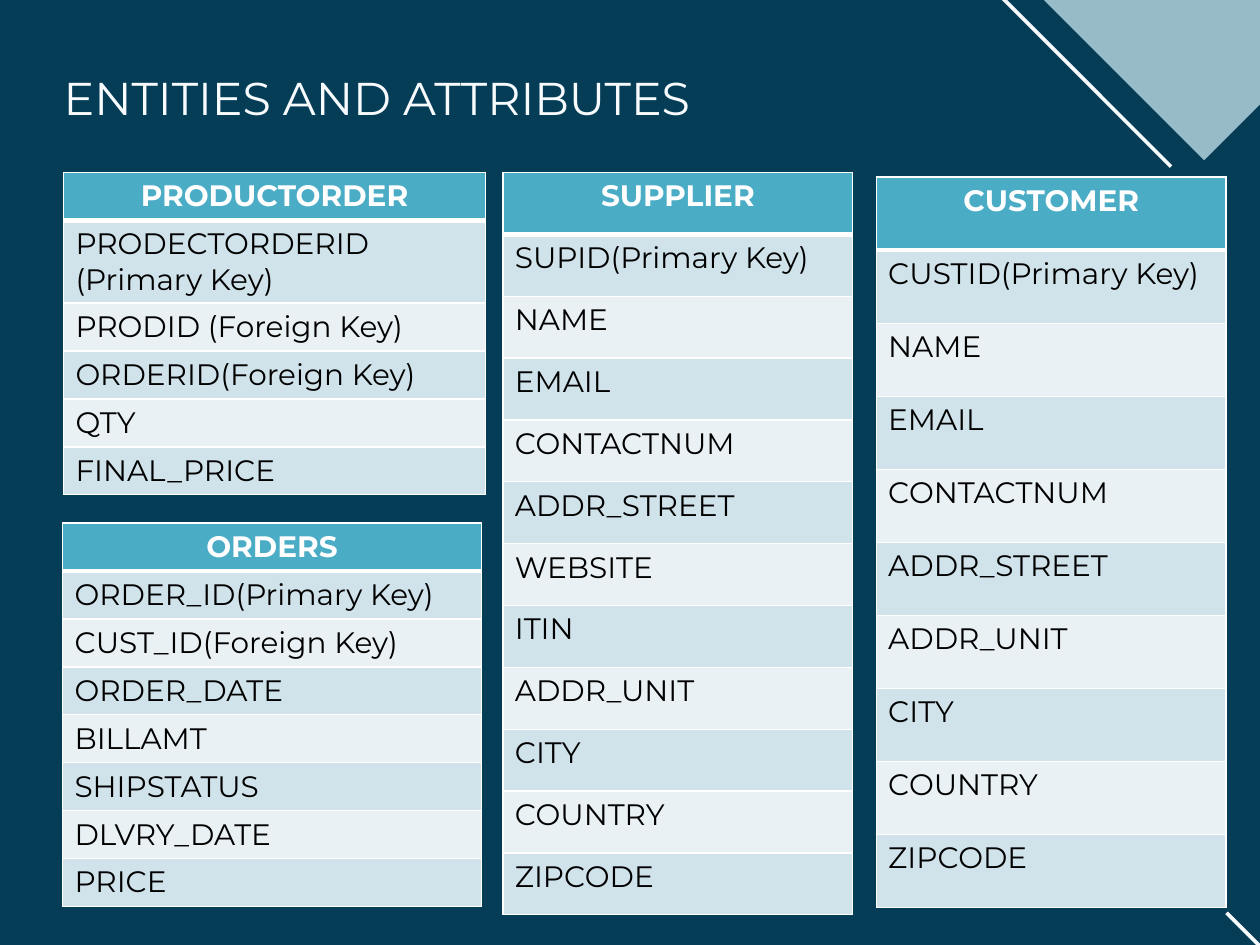
"""Build the slide of entities and their attributes as four tables."""
from lxml.etree import SubElement
from pptx import Presentation
from pptx.dml.color import RGBColor
from pptx.enum.shapes import MSO_SHAPE
from pptx.enum.text import MSO_AUTO_SIZE, PP_ALIGN
from pptx.oxml.ns import qn
from pptx.util import Cm, Pt

FONT = "Montserrat"
NAVY, PALE, MIST = "053D57", "F8FBFD", "97BCC7"
HEADER, BANDS = "4BACC6", ("E9F1F5", "D0E3EA")
WHITE, BLACK = "FFFFFF", "000000"

TITLE = "ENTITIES AND ATTRIBUTES"
DECORATIONS = [
    (20.96, -8.48, 9.88, 9.88, MIST),
    (21.97, -4.09, 0.08, 8.99, PALE),
    (28.22, 18.85, 0.08, 5.31, PALE),
]
ENTITIES = [
    ("PRODUCTORDER", (1.37, 3.71, 9.07, 1.03), [
        "PRODECTORDERID (Primary Key)", "PRODID (Foreign Key)",
        "ORDERID(Foreign Key)", "QTY", "FINAL_PRICE"]),
    ("ORDERS", (1.35, 11.25, 9, 1.03), [
        "ORDER_ID(Primary Key)", "CUST_ID(Foreign Key)", "ORDER_DATE",
        "BILLAMT", "SHIPSTATUS", "DLVRY_DATE", "PRICE"]),
    ("SUPPLIER", (10.82, 3.71, 7.52, 1.33), [
        "SUPID(Primary Key)", "NAME", "EMAIL", "CONTACTNUM", "ADDR_STREET",
        "WEBSITE", "ITIN", "ADDR_UNIT", "CITY", "COUNTRY", "ZIPCODE"]),
    ("CUSTOMER", (18.85, 3.81, 7.52, 1.57), [
        "CUSTID(Primary Key)", "NAME", "EMAIL", "CONTACTNUM", "ADDR_STREET",
        "ADDR_UNIT", "CITY", "COUNTRY", "ZIPCODE"]),
]


def paint(fill, color):
    fill.solid()
    fill.fore_color.rgb = RGBColor.from_string(color)


def set_font(p, size, color, bold=False):
    p.font.name = FONT
    p.font.size = Pt(size)
    p.font.bold = bold
    p.font.color.rgb = RGBColor.from_string(color)


def add_borders(cell, top, bottom):
    tc_pr = cell._tc.get_or_add_tcPr()
    for side, width in (("L", 1), ("R", 1), ("T", top), ("B", bottom)):
        ln = SubElement(tc_pr, qn(f"a:ln{side}"), w=str(Pt(width)))
        fill = SubElement(ln, qn("a:solidFill"))
        SubElement(fill, qn("a:srgbClr"), val=WHITE)


def add_decoration(slide, left, top, width, height, color):
    sp = slide.shapes.add_shape(
        MSO_SHAPE.RECTANGLE, Cm(left), Cm(top), Cm(width), Cm(height))
    sp.rotation = 315
    sp.shadow.inherit = False
    paint(sp.fill, color)
    sp.line.fill.background()


def add_title(slide):
    sp = slide.shapes.add_textbox(Cm(1.37), Cm(1.5), Cm(16.81), Cm(1.09))
    tf = sp.text_frame
    tf.word_wrap = True
    tf.auto_size = MSO_AUTO_SIZE.SHAPE_TO_FIT_TEXT
    tf.margin_left = tf.margin_right = tf.margin_top = tf.margin_bottom = 0
    p = tf.paragraphs[0]
    p.text = TITLE
    p.line_spacing = Pt(33.6)
    set_font(p, 28, PALE)


def add_entity(slide, name, box, attributes):
    left, top, width, row_height = box
    lines = [name, *attributes]
    table = slide.shapes.add_table(
        len(lines), 1, Cm(left), Cm(top), Cm(width),
        Cm(row_height * len(lines))).table
    for i, line in enumerate(lines):
        is_header = i == 0
        table.rows[i].height = Cm(row_height)
        cell = table.cell(i, 0)
        add_borders(cell, 3 if i == 1 else 1, 3 if is_header else 1)
        paint(cell.fill, HEADER if is_header else BANDS[i % 2])
        p = cell.text_frame.paragraphs[0]
        p.text = line
        p.alignment = PP_ALIGN.CENTER if is_header else PP_ALIGN.LEFT
        set_font(p, 18, WHITE if is_header else BLACK, is_header)


def main():
    prs = Presentation()
    prs.slide_width, prs.slide_height = Cm(27.1), Cm(20.32)
    slide = prs.slides.add_slide(prs.slide_layouts[6])
    paint(slide.background.fill, NAVY)
    add_title(slide)
    for decoration in DECORATIONS:
        add_decoration(slide, *decoration)
    for entity in ENTITIES:
        add_entity(slide, *entity)
    prs.save("out.pptx")


if __name__ == "__main__":
    main()
